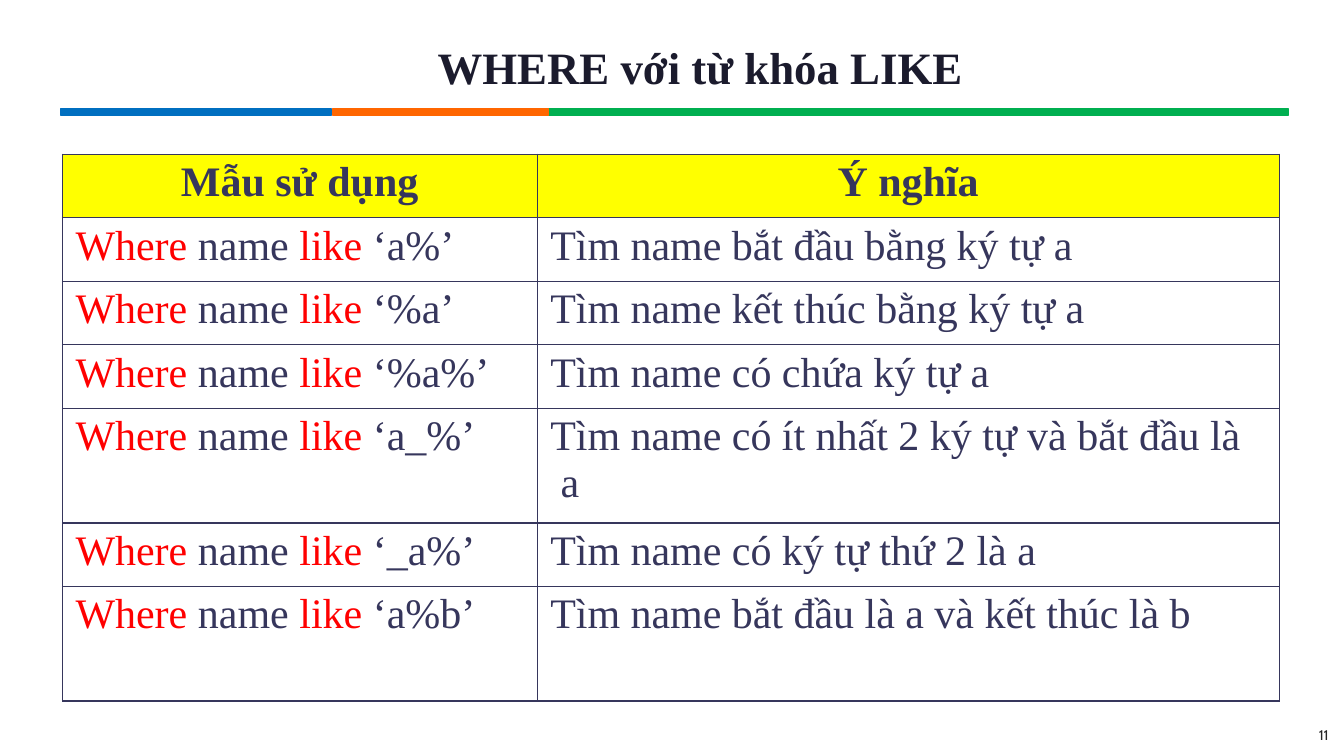
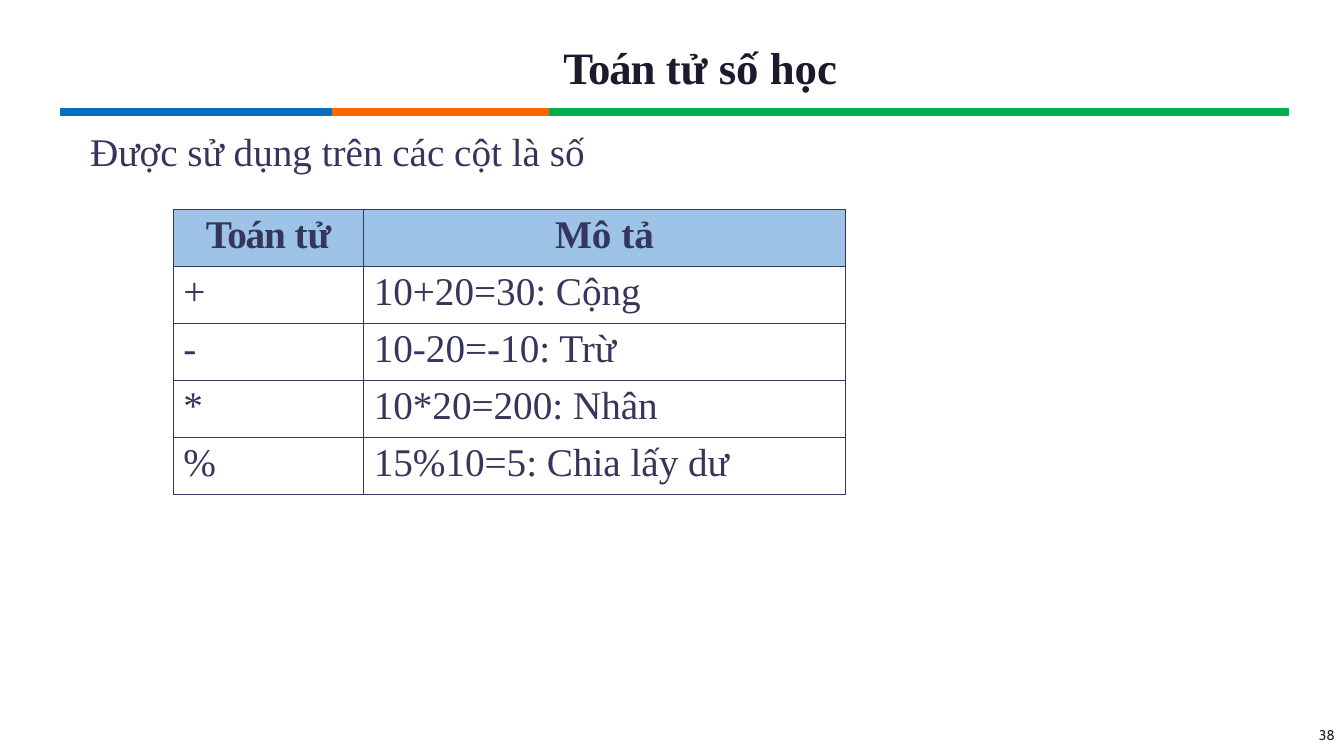
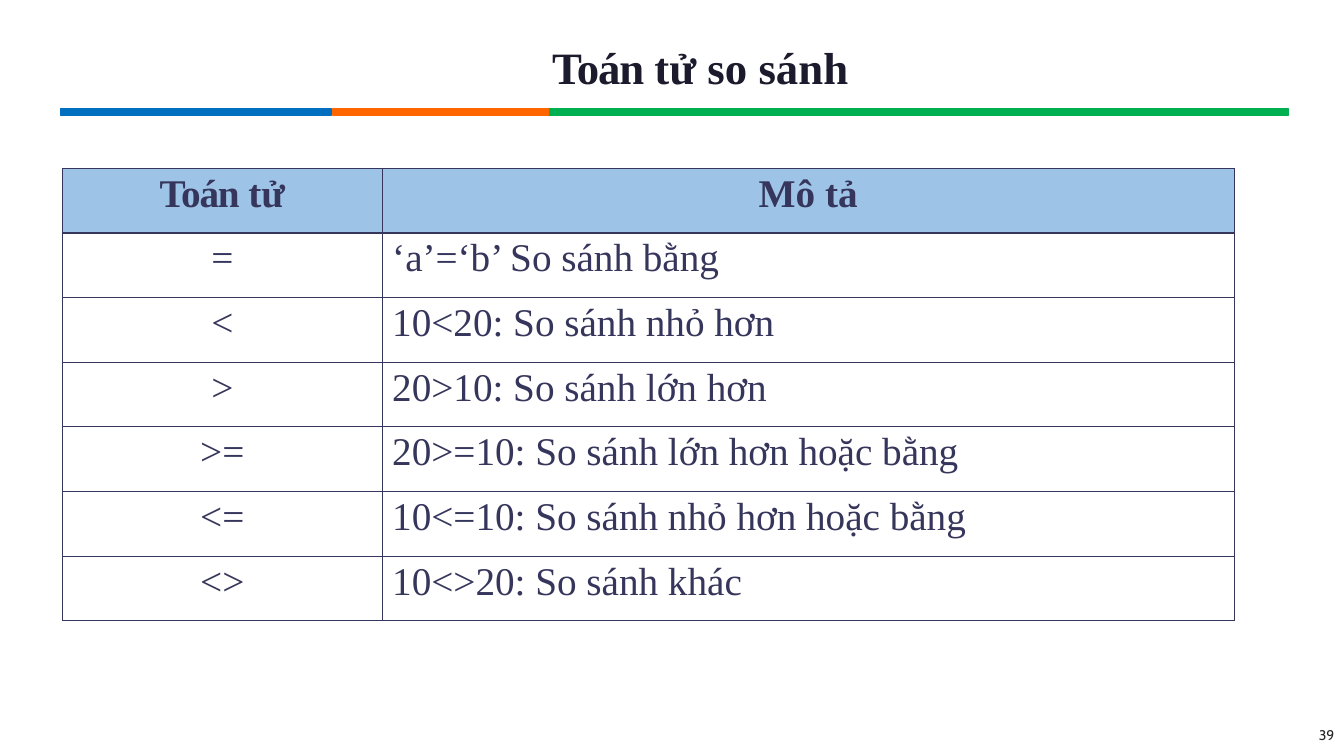
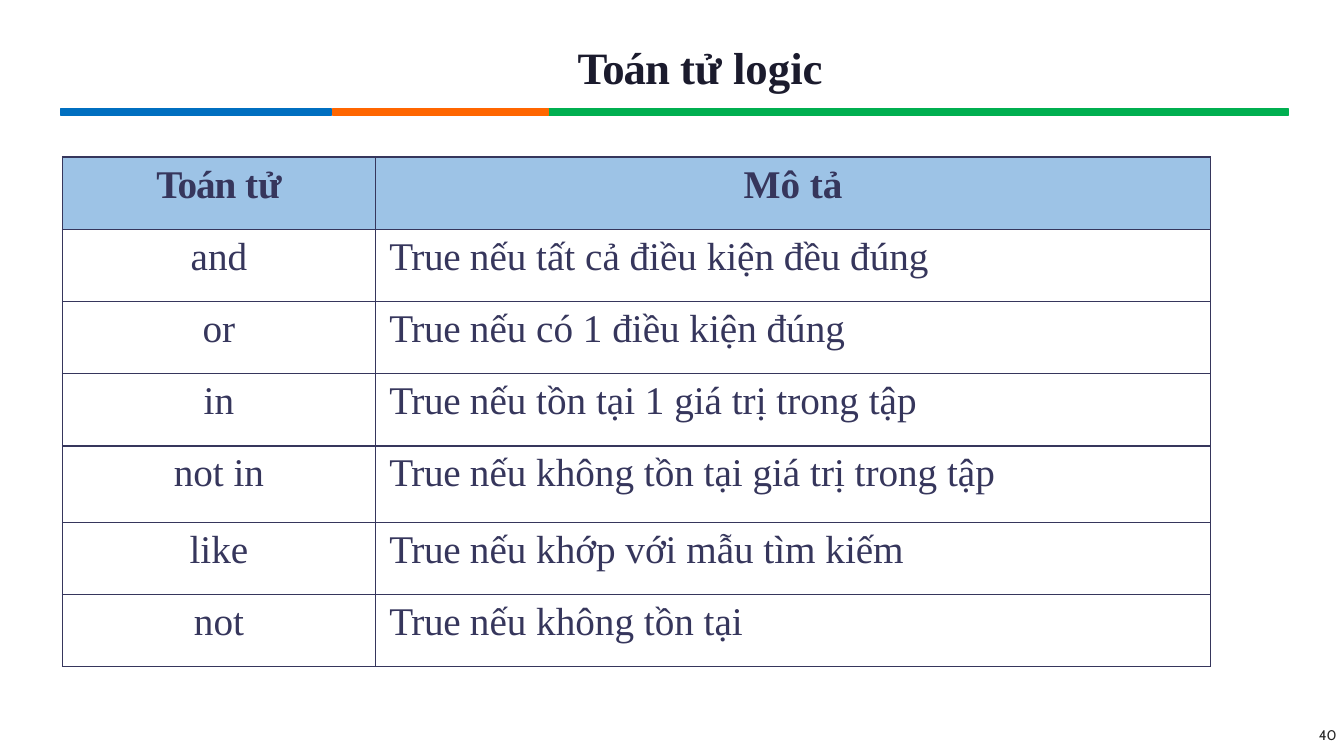
from lxml import etree
from pptx import Presentation
from pptx import util as u
from pptx.dml.color import RGBColor
from pptx.enum import shapes, text
from pptx.oxml import ns

Pt = u.Pt
SERIF, RED, NAVY = "Times New Roman", "FF0000", "36365C"
CENTER, LEFT = text.PP_ALIGN.CENTER, text.PP_ALIGN.LEFT
TITLE = {"name": SERIF, "size": Pt(32), "bold": True, "color": "1B1B2D"}
HEAD = {"name": SERIF, "size": Pt(28), "bold": True, "color": NAVY}
BODY = {**HEAD, "bold": False}
PAGE = {"name": "Cabin", "size": Pt(10), "bold": False, "color": "252525"}
TIGHT = {"Toán": -0.8, "True": -0.3}
BANDS = [("00AF50", 392, 920.2), ("FF6600", 237.4, 392), ("006FC0", 43.2, 236.6)]
BAND_TOP, BAND_HEIGHT = 77.8, 4.3
TITLE_CENTER = 500.2

PATTERNS = [
    ("‘a%’", "Tìm name bắt đầu bằng ký tự a"),
    ("‘%a’", "Tìm name kết thúc bằng ký tự a"),
    ("‘%a%’", "Tìm name có chứa ký tự a"),
    ("‘a_%’", "Tìm name có ít nhất 2 ký tự và bắt đầu là\v a"),
    ("‘_a%’", "Tìm name có ký tự thứ 2 là a"),
    ("‘a%b’", "Tìm name bắt đầu là a và kết thúc là b"),
]
OPERATOR_HEAD = ("Toán tử", "Mô tả")

SLIDES = [
    {
        "title": "WHERE với từ khóa LIKE", "title_width": 377, "page": "11",
        "at": (44.6, 110.2), "cols": (339.1, 530),
        "heights": [45.4] * 4 + [81.8, 45.4, 81.8],
        "size": 30, "top": 3.6, "before": 3.5, "indent": 9.4,
        "head_fill": "FFFF00", "first_align": LEFT,
        "rows": [("Mẫu sử dụng", "Ý nghĩa")] + [
            ([("Where ", RED), ("name ", NAVY), ("like ", RED), (pattern, NAVY)], meaning)
            for pattern, meaning in PATTERNS],
    },
    {
        "title": "Toán tử số học", "title_width": 201, "page": "38",
        "intro": "Được sử dụng trên các cột là số",
        "at": (123.8, 149.4), "cols": (136, 344), "heights": [40.8] * 5,
        "size": 28, "top": 2.9, "before": 2.6, "indent": 7.2,
        "head_fill": "9DC3E6", "first_align": LEFT,
        "rows": [
            OPERATOR_HEAD,
            ("+", "10+20=30: Cộng"),
            ("-", "10-20=-10: Trừ"),
            ("*", "10*20=200: Nhân"),
            ("%", "15%10=5: Chia lấy dư"),
        ],
    },
    {
        "title": "Toán tử so sánh", "title_width": 217, "page": "39",
        "at": (44.6, 120.2), "cols": (228.4, 608.6), "heights": [46.2] * 7,
        "size": 28, "top": 2.9, "before": 2.6, "indent": 7.2,
        "head_fill": "9DC3E6", "first_align": CENTER,
        "rows": [
            OPERATOR_HEAD,
            ("=", "‘a’=‘b’ So sánh bằng"),
            ("<", "10<20: So sánh nhỏ hơn"),
            (">", "20>10: So sánh lớn hơn"),
            (">=", "20>=10: So sánh lớn hơn hoặc bằng"),
            ("<=", "10<=10: So sánh nhỏ hơn hoặc bằng"),
            ("<>", "10<>20: So sánh khác"),
        ],
    },
    {
        "title": "Toán tử logic", "title_width": 180, "page": "40",
        "at": (44.6, 112.2), "cols": (223.6, 596.6),
        "heights": [51.6] * 4 + [54.6] + [51.6] * 2,
        "size": 28, "top": 4.3, "before": 4.2, "indent": 10,
        "head_fill": "9DC3E6", "first_align": CENTER,
        "rows": [
            OPERATOR_HEAD,
            ("and", "True nếu tất cả điều kiện đều đúng"),
            ("or", "True nếu có 1 điều kiện đúng"),
            ("in", "True nếu tồn tại 1 giá trị trong tập"),
            ("not in", "True nếu không tồn tại giá trị trong tập"),
            ("like", "True nếu khớp với mẫu tìm kiếm"),
            ("not", "True nếu không tồn tại"),
        ],
    },
]


def rgb(value):
    return RGBColor.from_string(value)


def add_run(p, words, fmt, spacing=0):
    r = p.add_run()
    r.text = words
    for key, value in fmt.items():
        if key == "color":
            r.font.color.rgb = rgb(value)
        else:
            setattr(r.font, key, value)
    if spacing:
        r._r.get_or_add_rPr().set("spc", str(round(spacing * 100)))


def write(p, content, fmt, align=LEFT, before=0):
    p.alignment, p.space_before = align, Pt(before)
    parts = [(content, fmt["color"])] if isinstance(content, str) else content
    for words, color in parts:
        style = {**fmt, "color": color}
        lead, gap, rest = words.partition(" ")
        if lead in TIGHT:
            add_run(p, lead + gap, style, TIGHT[lead])
            words = rest
        for i, line in enumerate(words.split("\v")):
            if i:
                p.add_line_break()
            add_run(p, line, style)


def add_label(s, box, words, fmt, align=LEFT, before=0):
    tf = s.shapes.add_textbox(*map(Pt, box)).text_frame
    tf.margin_left = tf.margin_right = tf.margin_top = tf.margin_bottom = 0
    tf.word_wrap = False
    write(tf.paragraphs[0], words, fmt, align, before)


def add_frame(s, slide):
    for color, left, right in BANDS:
        sp = s.shapes.add_shape(shapes.MSO_SHAPE.RECTANGLE, Pt(left), Pt(BAND_TOP),
                                Pt(right - left), Pt(BAND_HEIGHT))
        sp.shadow.inherit = False
        sp.fill.solid()
        sp.fill.fore_color.rgb = sp.line.color.rgb = rgb(color)
        sp.line.width = Pt(0.96)
    width = slide["title_width"]
    add_label(s, (TITLE_CENTER - width / 2, 28, width, 40), slide["title"], TITLE, CENTER, 1.1)
    add_label(s, (942, 519.1, 15, 13), slide["page"], PAGE)


def add_borders(cell):
    tcPr = cell._tc.get_or_add_tcPr()
    for side in ("lnL", "lnR", "lnT", "lnB"):
        ln = etree.SubElement(tcPr, ns.qn("a:" + side), w=str(Pt(1)))
        fill = etree.SubElement(ln, ns.qn("a:solidFill"))
        etree.SubElement(fill, ns.qn("a:srgbClr"), val=NAVY)


def add_grid(s, slide):
    rows, cols, heights = slide["rows"], slide["cols"], slide["heights"]
    box = (*slide["at"], sum(cols), sum(heights))
    table = s.shapes.add_table(len(rows), len(cols), *map(Pt, box)).table
    table.first_row = table.horz_banding = False
    for column, width in zip(table.columns, cols):
        column.width = Pt(width)
    for i, (row, height) in enumerate(zip(rows, heights)):
        table.rows[i].height = Pt(height)
        for j, content in enumerate(row):
            cell = table.cell(i, j)
            align = CENTER if i == 0 else (slide["first_align"], LEFT)[j]
            margins = {"margin_left": Pt(slide["indent"] if align == LEFT else 0),
                       "margin_right": 0, "margin_top": Pt(slide["top"]), "margin_bottom": 0}
            for key, value in margins.items():
                setattr(cell, key, value)
            add_borders(cell)
            if i == 0:
                cell.fill.solid()
                cell.fill.fore_color.rgb = rgb(slide["head_fill"])
            else:
                cell.fill.background()
            fmt = {**(BODY if i else HEAD), "size": Pt(slide["size"])}
            write(cell.text_frame.paragraphs[0], content, fmt, align, slide["before"])


def main():
    prs = Presentation()
    prs.slide_width, prs.slide_height = Pt(960), Pt(540)
    for slide in SLIDES:
        s = prs.slides.add_slide(prs.slide_layouts[6])
        add_frame(s, slide)
        add_grid(s, slide)
        if "intro" in slide:
            add_label(s, (64.4, 91, 355, 35), slide["intro"], BODY, before=0.9)
    prs.save("out.pptx")


if __name__ == "__main__":
    main()
